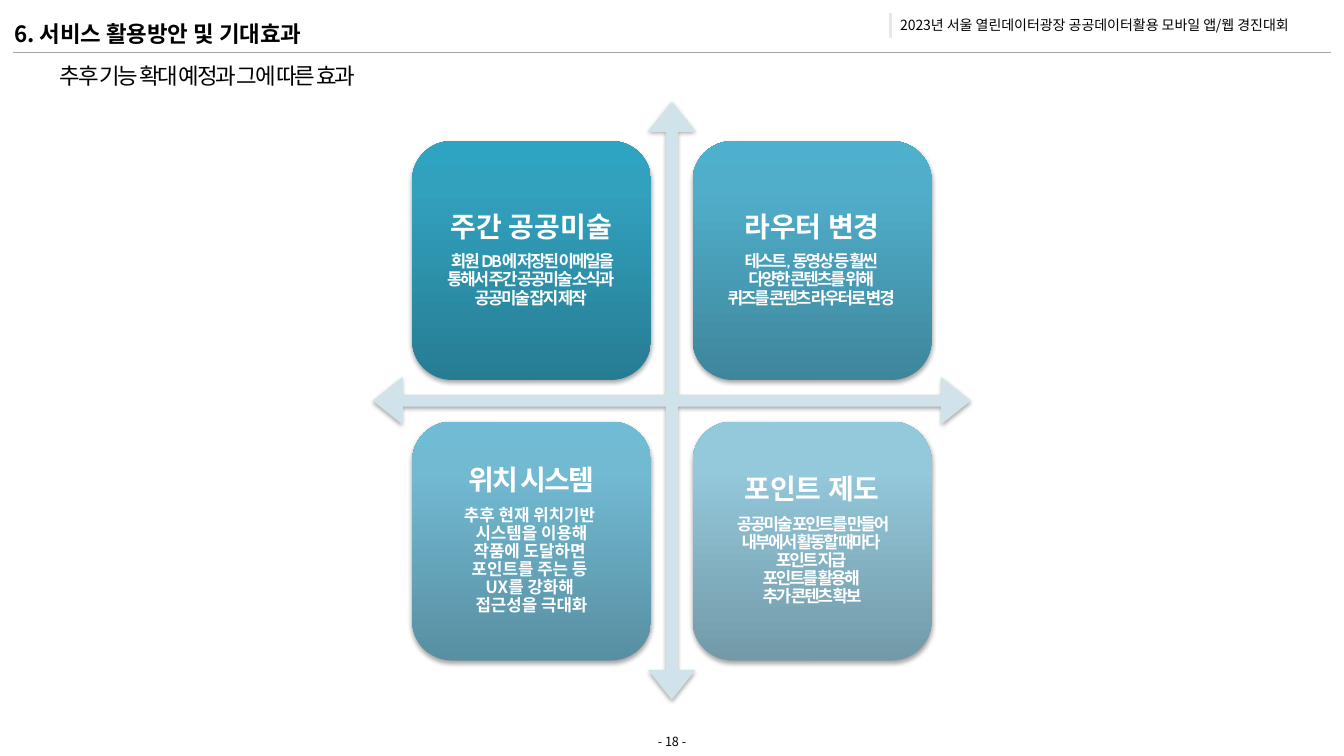
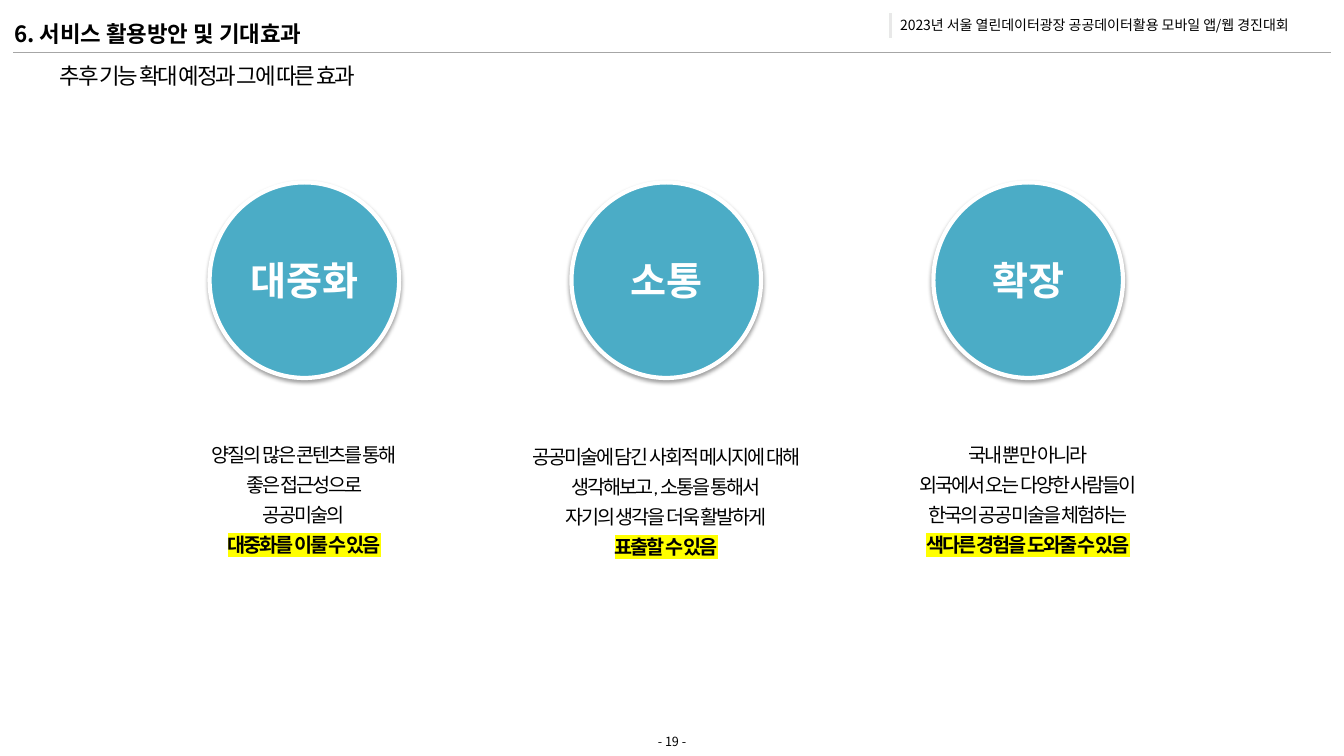
from dataclasses import dataclass, replace
from lxml.etree import SubElement
from pptx import Presentation
from pptx.dml.color import RGBColor
from pptx.enum.shapes import MSO_CONNECTOR, MSO_SHAPE
from pptx.enum.text import MSO_ANCHOR, PP_ALIGN
from pptx.oxml.ns import qn
from pptx.util import Pt


@dataclass(frozen=True)
class TextStyle:
    size: float
    font: str
    color: str = "000000"
    bold: bool = False
    tracking: float = 0
    highlight: str = ""
    line_spacing: float = 1.0
    before: float = 0
    after: float = 0
    align: PP_ALIGN = PP_ALIGN.CENTER


@dataclass(frozen=True)
class Theme:
    white: str = "FFFFFF"
    black: str = "000000"
    rule: str = "A6A6A6"
    bar: str = "E8E8E8"
    bar_edge: str = "FEFFFE"
    arrows: str = "D0E3EA"
    circle: str = "4BACC6"
    contest: TextStyle = TextStyle(10, "Noto Sans CJK KR", align=PP_ALIGN.LEFT)
    title: TextStyle = TextStyle(16, "Noto Sans CJK KR", bold=True,
                                 line_spacing=1.4, align=PP_ALIGN.LEFT)
    page: TextStyle = TextStyle(9, "Noto Sans CJK KR", line_spacing=1.01)
    subtitle: TextStyle = TextStyle(16, "Cabin", tracking=-1.5, line_spacing=1.1)
    heading: TextStyle = TextStyle(20, "Cabin", "FFFFFF", True,
                                   line_spacing=0.9, after=7)
    detail: TextStyle = TextStyle(12, "Cabin", "FFFFFF", True, -1.5,
                                  line_spacing=0.9, after=4.2)
    keyword: TextStyle = TextStyle(28, "Arial", "FFFFFF", True)
    effect: TextStyle = TextStyle(14, "Cabin", tracking=-1.5,
                                  line_spacing=1.1, before=2.8)


THEME = Theme()
TIGHT_HEADING = replace(THEME.heading, tracking=-1.5)
LOOSE_DETAIL = replace(THEME.detail, font="Noto Sans CJK KR", tracking=0, after=0)
EFFECT_KEY = replace(THEME.effect, bold=True, highlight="FFFF00")

QUADRANTS = [
    (("267C93", "32A1BE", "2FA3C2"), [
        ("주간 공공미술", THEME.heading),
        ("회원 DB에 저장된 이메일을 통해서 주간 공공미술 소식과 \n공공미술 잡지 제작 ",
         THEME.detail)]),
    (("3E869C", "50AECA", "4EB0CD"), [
        ("라우터 변경", THEME.heading),
        ("테스트, 동영상 등 훨씬 \n다양한 콘텐츠를 위해 \n퀴즈를 콘텐츠 라우터로 변경 ",
         THEME.detail)]),
    (("588FA2", "72BAD2", "71BCD5"), [
        ("위치 시스템", TIGHT_HEADING),
        ("추후 현재 위치기반 \n시스템을 이용해\n작품에 도달하면 \n포인트를 주는 등 \nUX를 강화해 ",
         LOOSE_DETAIL),
        ("접근성을 극대화", LOOSE_DETAIL)]),
    (("729AA8", "94C8DB", "93C9DD"), [
        ("포인트 제도", THEME.heading),
        ("공공미술 포인트를 만들어 내부에서 활동할 때마다 \n포인트 지급 \n포인트를 활용해 \n추가 콘텐츠 확보",
         THEME.detail)]),
]

EFFECTS = [
    ("대중화", 311.3, ["양질의 많은 콘텐츠를 통해", "좋은 접근성으로", "공공미술의 "],
     "대중화를 이룰 수 있음"),
    ("소통", 312.8, ["공공미술에 담긴 사회적 메시지에 대해", "생각해보고, 소통을 통해서",
                   "자기의 생각을 더욱 활발하게"], "표출할 수 있음"),
    ("확장", 311.3, ["국내 뿐만 아니라", "외국에서 오는 다양한 사람들이",
                   "한국의 공공미술을 체험하는"], "색다른 경험을 도와줄 수 있음"),
]


def rgb(color):
    return RGBColor.from_string(color)


def lengths(*points):
    return [Pt(value) for value in points]


def add_run(paragraph, text, style):
    run = paragraph.add_run()
    run.text = text
    font = run.font
    font.size, font.bold, font.name = Pt(style.size), style.bold, style.font
    font.color.rgb = rgb(style.color)
    properties = run._r.get_or_add_rPr()
    properties.set("spc", str(round(style.tracking * 100)))
    latin = properties.find(qn("a:latin"))
    east_asian = SubElement(properties, qn("a:ea"), typeface=style.font)
    latin.addnext(east_asian)
    if style.highlight:
        highlight = SubElement(properties, qn("a:highlight"))
        SubElement(highlight, qn("a:srgbClr"), val=style.highlight)
        latin.addprevious(highlight)


def write(frame, paragraphs, anchor=MSO_ANCHOR.TOP, insets=(7.2, 3.6)):
    frame.word_wrap = True
    frame.vertical_anchor = anchor
    frame.margin_left = frame.margin_right = Pt(insets[0])
    frame.margin_top = frame.margin_bottom = Pt(insets[1])
    for index, (text, style) in enumerate(paragraphs):
        paragraph = frame.add_paragraph() if index else frame.paragraphs[0]
        paragraph.alignment = style.align
        paragraph.line_spacing = style.line_spacing
        paragraph.space_before = Pt(style.before if index else 0)
        paragraph.space_after = Pt(style.after)
        for number, line in enumerate(text.split("\n")):
            if number:
                paragraph.add_line_break()
            add_run(paragraph, line, style)


def add_text(slide, box, paragraphs, **layout):
    write(slide.shapes.add_textbox(*lengths(*box)).text_frame, paragraphs, **layout)


def add_panel(slide, preset, box, fill, edge=None, edge_width=0):
    panel = slide.shapes.add_shape(preset, *lengths(*box))
    panel.shadow.inherit = False
    panel.fill.solid()
    panel.fill.fore_color.rgb = rgb(fill)
    if edge:
        panel.line.color.rgb = rgb(edge)
        panel.line.width = Pt(edge_width)
    else:
        panel.line.fill.background()
    return panel


def add_shadow(shape, opacity, distance):
    effects = shape._element.spPr.find(qn("a:effectLst"))
    shadow = SubElement(effects, qn("a:outerShdw"), blurRad=str(Pt(3.15)),
                        dist=str(Pt(distance)), dir="5400000", rotWithShape="0")
    color = SubElement(shadow, qn("a:srgbClr"), val=THEME.black)
    SubElement(color, qn("a:alpha"), val=str(opacity * 1000))


def shade(shape, colors):
    shape.fill.gradient()
    shape.fill.gradient_angle = 90
    stops = shape._element.spPr.find(qn("a:gradFill")).find(qn("a:gsLst"))
    stops.clear()
    for position, color in zip((0, 80, 100), colors):
        stop = SubElement(stops, qn("a:gs"), pos=str(position * 1000))
        SubElement(stop, qn("a:srgbClr"), val=color)


def add_rule(slide, left, right, y):
    rule = slide.shapes.add_connector(MSO_CONNECTOR.STRAIGHT, *lengths(left, y, right, y))
    rule.line.color.rgb = rgb(THEME.rule)
    rule.line.width = Pt(1)
    SubElement(rule._element.spPr, qn("a:effectLst"))


def add_page(deck, number):
    slide = deck.slides.add_slide(deck.slide_layouts[6])
    add_text(slide, (635.8, 8.6, 324, 19.4),
             [("2023년 서울 열린데이터광장 공공데이터활용 모바일 앱/웹 경진대회", THEME.contest)])
    add_panel(slide, MSO_SHAPE.RECTANGLE, (634.3, 8.6, 3.6, 19.4),
              THEME.bar, THEME.bar_edge, 2)
    add_text(slide, (0, 521.3, 960, 17.3), [(f"- {number} -", THEME.page)],
             anchor=MSO_ANCHOR.MIDDLE)
    add_rule(slide, 9.4, 950.4, 37.4)
    add_text(slide, (10.1, 6.5, 230.4, 27.4),
             [("6. 서비스 활용방안 및 기대효과", THEME.title)], insets=(0, 0))
    add_text(slide, (20, 39.2, 256.6, 28.6),
             [("추후 기능 확대 예정과 그에 따른 효과", THEME.subtitle)])
    return slide


def add_matrix(slide):
    center_x, center_y, span = 479.9, 286.3, 427
    tile, pitch, padding = 170.7, 200.4, 8.3
    arrows = add_panel(slide, MSO_SHAPE.QUAD_ARROW,
                       (center_x - span / 2, center_y - span / 2, span, span), THEME.arrows)
    for index, ratio in enumerate((0.02, 0.04, 0.05)):
        arrows.adjustments[index] = ratio
    add_shadow(arrows, 35, 1.81)
    for index, (colors, paragraphs) in enumerate(QUADRANTS):
        row, column = divmod(index, 2)
        left = center_x + (column - 0.5) * pitch - tile / 2
        top = center_y + (row - 0.5) * pitch - tile / 2
        panel = add_panel(slide, MSO_SHAPE.ROUNDED_RECTANGLE,
                          (left, top, tile, tile), colors[0])
        shade(panel, colors)
        add_shadow(panel, 35, 1.81)
        inner = tile - 2 * padding
        add_text(slide, (left + padding, top + padding, inner, inner), paragraphs,
                 anchor=MSO_ANCHOR.MIDDLE, insets=(6, 6))


def add_effects(slide):
    first_center, pitch = 217.4, 258.5
    circle_width, circle_height, text_width = 135.4, 139.7, 256
    for index, (keyword, text_top, lines, key_line) in enumerate(EFFECTS):
        center = first_center + index * pitch
        circle = add_panel(slide, MSO_SHAPE.OVAL,
                           (center - circle_width / 2, 130.3, circle_width, circle_height),
                           THEME.circle, THEME.white, 3)
        add_shadow(circle, 38, 1.57)
        write(circle.text_frame, [(keyword, THEME.keyword)],
              anchor=MSO_ANCHOR.MIDDLE, insets=(0, 0))
        paragraphs = [(line, THEME.effect) for line in lines] + [(key_line, EFFECT_KEY)]
        add_text(slide, (center - text_width / 2, text_top, text_width, 98.8), paragraphs)


def main():
    deck = Presentation()
    deck.slide_width, deck.slide_height = lengths(960, 540)
    add_matrix(add_page(deck, 18))
    add_effects(add_page(deck, 19))
    deck.save("out.pptx")


if __name__ == "__main__":
    main()
